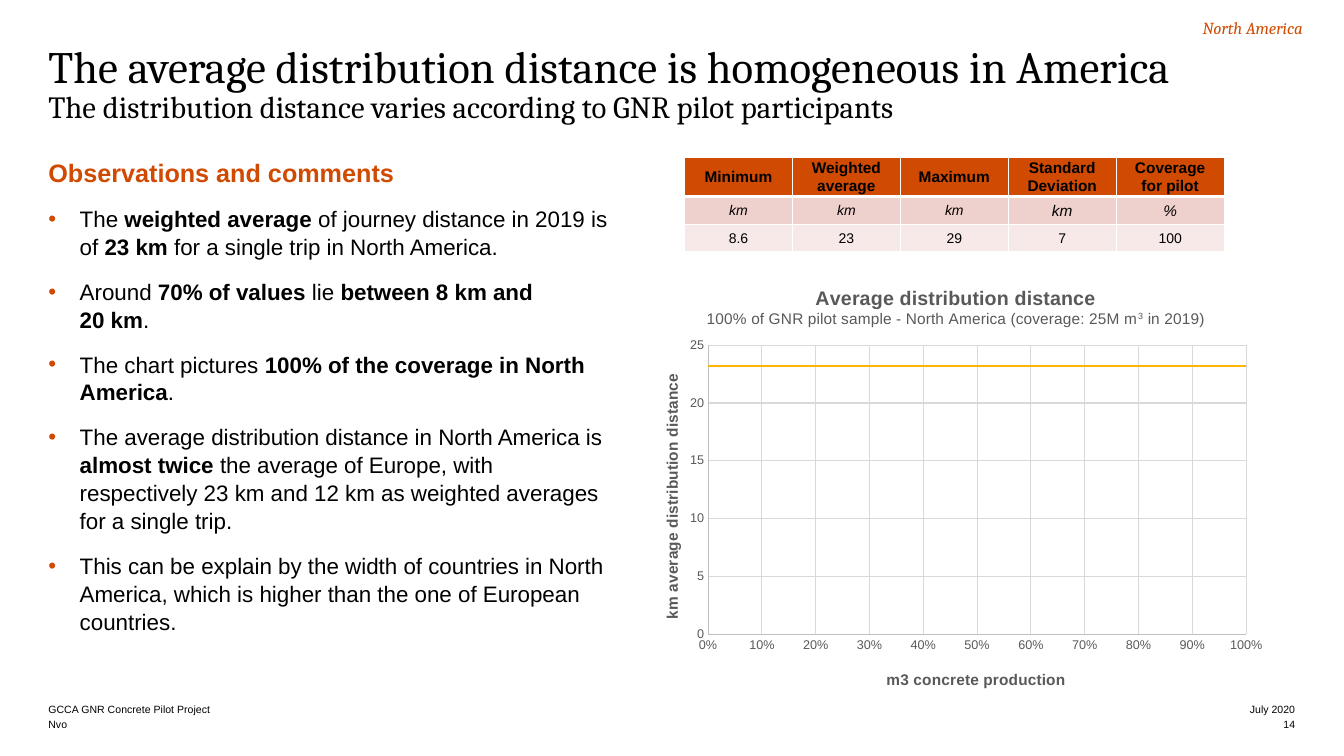
from lxml import etree
from pptx import Presentation
from pptx.chart.data import XyChartData
from pptx.dml.color import RGBColor
from pptx.enum.chart import XL_CHART_TYPE, XL_TICK_MARK
from pptx.enum.text import MSO_ANCHOR, PP_ALIGN
from pptx.oxml import parse_xml
from pptx.oxml.ns import nsdecls, qn
from pptx.util import Cm, Pt

LEFT, CENTER, RIGHT = PP_ALIGN.LEFT, PP_ALIGN.CENTER, PP_ALIGN.RIGHT
TOP, MIDDLE, BOTTOM = MSO_ANCHOR.TOP, MSO_ANCHOR.MIDDLE, MSO_ANCHOR.BOTTOM
SCATTER = XL_CHART_TYPE.XY_SCATTER_LINES_NO_MARKERS
NO_TICK = XL_TICK_MARK.NONE

COLORS = {
    "black": "000000", "white": "FFFFFF", "orange": "D04A02", "yellow": "FFB600",
    "pink": "EED0CC", "pale": "F7E9E7", "gray": "595959", "axis": "BFBFBF", "grid": "D9D9D9",
}
HEADLINE = "The average distribution distance is homogeneous in America"
SUBTITLE = "The distribution distance varies according to GNR pilot participants"
OBSERVATIONS_TITLE = "Observations and comments"
OBSERVATIONS = [
    [("The ", False), ("weighted average ", True), ("of journey distance in 2019 is of ", False),
     ("23 km ", True), ("for a single trip in North America.", False)],
    [("Around ", False), ("70% of values ", True), ("lie ", False),
     ("between 8 km and\n20 km", True), (".", False)],
    [("The chart pictures ", False), ("100% of the coverage in North America", True), (".", False)],
    [("The average distribution distance in North America is ", False), ("almost twice ", True),
     ("the average of Europe, with respectively 23 km and 12 km as weighted averages "
      "for a single trip.", False)],
    [("This can be explain by the width of countries in North America, which is higher "
      "than the one of European countries.", False)],
]
SMALL_TEXTS = [
    ("GCCA GNR Concrete Pilot Project", 1.22, 17.65, 15.2, LEFT),
    ("Nvo", 1.22, 18.03, 15.2, LEFT),
    ("July 2020", 27.74, 17.65, 4.9, RIGHT),
    ("14", 27.74, 18.03, 4.9, RIGHT),
]
TABLE_ROWS = [
    ["Minimum", "Weighted average", "Maximum", "Standard Deviation", "Coverage\vfor pilot"],
    ["km", "km", "km", "km", "%"],
    ["8.6", "23", "29", "7", "100"],
]
ROW_HEIGHTS = [0.99, 0.7, 0.7]
ROW_FILLS = ["orange", "pink", "pale"]
COLUMN_WIDTH = 2.72

CHART_TITLE = [
    ("Average distribution distance\n", 14, True, False),
    ("100% of GNR pilot sample - North America (coverage: 25M m", 11, False, False),
    ("3", 11, False, True),
    (" in 2019)", 11, False, False),
]
X_TITLE = "m3 concrete production"
Y_TITLE = "km average distribution distance"
DISTANCES = [(0.03, 8.6), (0.12, 10), (0.14, 11.3), (0.17, 13), (0.2, 13.4),
             (0.38, 16.9), (0.49, 21.4), (0.59, 23), (1, 29.3)]
AVERAGE = 23.2
VOLUMES = [0, 800000, 3000000, 3600000, 4300000, 5000000,
           9500000, 12400000, 14900000, 25300000, 30000000]


def color(name):
    return RGBColor.from_string(COLORS[name])


def style(font, size, tint="black", bold=False, italic=False, face="Arial"):
    font.name, font.size, font.bold, font.italic = face, Pt(size), bold, italic
    font.color.rgb = color(tint)


def add_span(para, text, size, **look):
    for index, line in enumerate(text.split("\n")):
        if index:
            para.add_line_break()
        if line:
            span = para.add_run()
            span.text = line
            style(span.font, size, **look)


def add_box(slide, left, top, width, height, anchor=TOP):
    box = slide.shapes.add_textbox(Cm(left), Cm(top), Cm(width), Cm(height))
    frame = box.text_frame
    frame.word_wrap = True
    frame.vertical_anchor = anchor
    frame.margin_left = frame.margin_top = frame.margin_right = frame.margin_bottom = 0
    return frame


def add_bullet(para):
    properties = para._p.get_or_add_pPr()
    properties.set("marL", str(Cm(0.79)))
    properties.set("indent", str(-Cm(0.79)))
    tint = etree.SubElement(properties, qn("a:buClr"))
    etree.SubElement(tint, qn("a:srgbClr")).set("val", COLORS["orange"])
    etree.SubElement(properties, qn("a:buFont")).set("typeface", "Arial")
    etree.SubElement(properties, qn("a:buChar")).set("char", "•")


def add_borders(cell, bottom):
    properties = cell._tc.get_or_add_tcPr()
    for side, width in (("L", 1), ("R", 1), ("T", 1), ("B", bottom)):
        line = etree.SubElement(properties, qn(f"a:ln{side}"), w=str(Pt(width)))
        fill = etree.SubElement(line, qn("a:solidFill"))
        etree.SubElement(fill, qn("a:srgbClr")).set("val", COLORS["white"])


def place(parent, x, y, size=None):
    old = parent.find(qn("c:layout"))
    if old is not None:
        parent.remove(old)
    values = [("xMode", "edge"), ("yMode", "edge"), ("x", x), ("y", y)]
    if size:
        values = [("layoutTarget", "inner")] + values + list(zip("wh", size))
    entries = "".join(f'<c:{tag} val="{value}"/>' for tag, value in values)
    layout = parse_xml(f'<c:layout {nsdecls("c")}><c:manualLayout>{entries}</c:manualLayout></c:layout>')
    text = parent.find(qn("c:tx"))
    if text is None:
        parent.insert(0, layout)
    else:
        text.addnext(layout)


def format_axis(axis, title, maximum, step, number_format, x, y):
    axis.minimum_scale, axis.maximum_scale, axis.major_unit = 0, maximum, step
    axis.major_tick_mark = axis.minor_tick_mark = NO_TICK
    axis.tick_labels.number_format = number_format
    axis.tick_labels.number_format_is_linked = False
    style(axis.tick_labels.font, 9, "gray")
    axis.has_major_gridlines = True
    for line, tint in ((axis.format.line, "axis"), (axis.major_gridlines.format.line, "grid")):
        line.color.rgb = color(tint)
        line.width = Pt(0.75)
    frame = axis.axis_title.text_frame
    add_span(frame.paragraphs[0], title, 11, tint="gray", bold=True)
    place(axis.axis_title._element, x, y)
    return frame


def add_table(slide):
    columns = len(TABLE_ROWS[0])
    table = slide.shapes.add_table(len(TABLE_ROWS), columns, Cm(17.25), Cm(3.96),
                                   Cm(COLUMN_WIDTH * columns), Cm(sum(ROW_HEIGHTS))).table
    for column in table.columns:
        column.width = Cm(COLUMN_WIDTH)
    for r, texts in enumerate(TABLE_ROWS):
        table.rows[r].height = Cm(ROW_HEIGHTS[r])
        for c, text in enumerate(texts):
            cell = table.cell(r, c)
            add_borders(cell, 3 if r == 0 else 1)
            cell.fill.solid()
            cell.fill.fore_color.rgb = color(ROW_FILLS[r])
            cell.vertical_anchor = MIDDLE
            cell.margin_left = cell.margin_right = cell.margin_top = Cm(0.02)
            cell.margin_bottom = 0
            para = cell.text_frame.paragraphs[0]
            para.text = text
            para.alignment = CENTER
            size = 11 if r == 0 or (r == 1 and c > 2) else 10
            for span in para.runs:
                style(span.font, size, bold=r == 0, italic=r == 1)


def add_chart(slide):
    data = XyChartData()
    averages = [(volume, AVERAGE) for volume in VOLUMES]
    for name, points in (("Series 1", DISTANCES), ("Series 2", averages)):
        series = data.add_series(name)
        for x, y in points:
            series.add_data_point(x, y)
    chart = slide.shapes.add_chart(SCATTER, Cm(15.95), Cm(6.68), Cm(16.2), Cm(11.1), data).chart
    chart.has_legend = False
    style(chart.font, 10)
    chart.plots[0].vary_by_categories = False
    distance, average = chart.plots[0].series
    distance.smooth = average.smooth = False
    distance.format.line.fill.background()
    average.format.line.color.rgb = color("yellow")
    average.format.line.width = Pt(1.5)
    para = chart.chart_title.text_frame.paragraphs[0]
    for text, size, bold, raised in CHART_TITLE:
        add_span(para, text, size, tint="gray", bold=bold)
        if raised:
            para.runs[-1].font._element.set("baseline", "30000")
    chart.chart_title.include_in_layout = False
    place(chart.chart_title._element, 0.11, 0.04)
    format_axis(chart.category_axis, X_TITLE, 1, 0.1, "0%", 0.39, 0.91)
    frame = format_axis(chart.value_axis, Y_TITLE, 25, 5, "0", 0.04, 0.24)
    frame._txBody.bodyPr.set("rot", "-5400000")
    frame._txBody.bodyPr.set("vert", "horz")
    place(chart._chartSpace.chart.plotArea, 0.117, 0.182, (0.837, 0.656))


def main():
    deck = Presentation()
    deck.slide_width, deck.slide_height = Cm(33.87), Cm(19.05)
    slide = deck.slides.add_slide(deck.slide_layouts[6])

    para = add_box(slide, 1.22, 1.19, 32.03, 2.4).paragraphs[0]
    para.line_spacing = 0.85
    add_span(para, HEADLINE + "\n", 32, face="Cambria")
    add_span(para, SUBTITLE, 22, face="Cambria")

    para = add_box(slide, 29.87, 0.25, 3.4, 0.91, MIDDLE).paragraphs[0]
    para.alignment = CENTER
    add_span(para, "North America", 12, tint="orange", italic=True, face="Cambria")

    frame = add_box(slide, 1.22, 3.96, 14.25, 13)
    para = frame.paragraphs[0]
    para.space_after = Pt(6)
    add_span(para, OBSERVATIONS_TITLE, 18, tint="orange", bold=True)
    for observation in OBSERVATIONS:
        para = frame.add_paragraph()
        add_bullet(para)
        para.space_before = para.space_after = Pt(6)
        para.line_spacing = 1.04
        for text, bold in observation:
            add_span(para, text, 16, bold=bold)

    add_table(slide)
    add_chart(slide)
    for text, left, top, width, alignment in SMALL_TEXTS:
        para = add_box(slide, left, top, width, 0.38, BOTTOM).paragraphs[0]
        para.alignment = alignment
        add_span(para, text, 7.5)
    deck.save("out.pptx")


if __name__ == "__main__":
    main()
